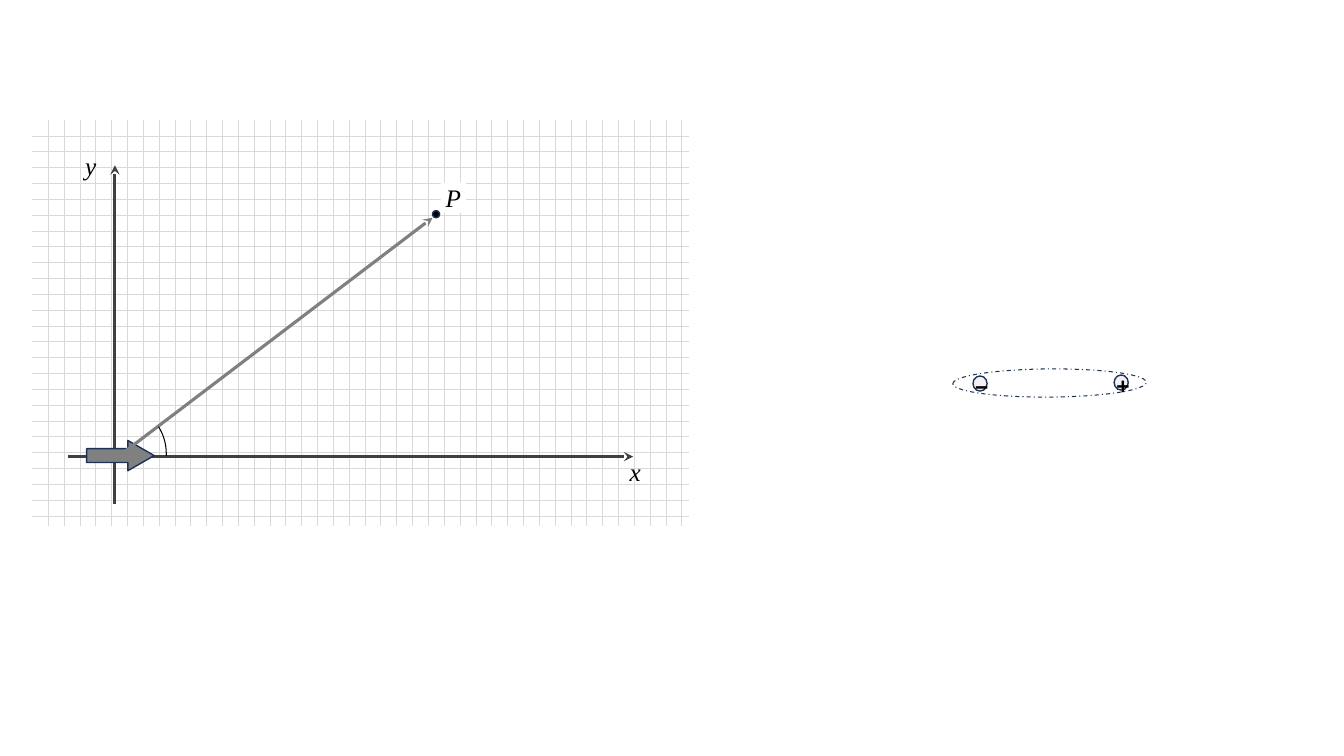
from dataclasses import dataclass

from lxml import etree
from pptx import Presentation
from pptx.dml.color import RGBColor
from pptx.enum.dml import MSO_LINE, MSO_PATTERN
from pptx.enum.shapes import MSO_CONNECTOR, MSO_SHAPE
from pptx.enum.text import MSO_ANCHOR, MSO_AUTO_SIZE, PP_ALIGN
from pptx.oxml.ns import qn
from pptx.util import Emu, Pt

PX = 9144
RECT, OVAL = MSO_SHAPE.RECTANGLE, MSO_SHAPE.OVAL
ARROW, ARC = MSO_SHAPE.RIGHT_ARROW, MSO_SHAPE.ARC
STRAIGHT = MSO_CONNECTOR.STRAIGHT
DOT_GRID, DASH_DOT = MSO_PATTERN.DOTTED_GRID, MSO_LINE.DASH_DOT
CENTER = PP_ALIGN.CENTER
TOP, MIDDLE = MSO_ANCHOR.TOP, MSO_ANCHOR.MIDDLE
GROW = MSO_AUTO_SIZE.SHAPE_TO_FIT_TEXT


@dataclass(frozen=True)
class Theme:
    black: str = "000000"
    white: str = "FFFFFF"
    grid: str = "D9D9D9"
    axis: str = "404040"
    vector: str = "808080"
    outline: str = "1E3256"
    charge: str = "F2F2F2"
    label_font: str = "Times New Roman"
    sign_font: str = "Arial"
    label_size: int = 18
    sign_size: int = 28
    thick: float = 2.25
    medium: float = 1
    thin: float = 0.75


def px(*values):
    return [Emu(v * PX) for v in values]


def rgb(color):
    return RGBColor.from_string(color)


class Diagram:
    def __init__(self, slide, theme):
        self.s = slide
        self.t = theme

    def shape(self, kind, box, fill=None, line=None, width=1, adj=(), tilt=0, parent=None):
        sp = (parent or self.s).shapes.add_shape(kind, *px(*box))
        sp.shadow.inherit = False
        sp.rotation = tilt
        for i, value in enumerate(adj):
            sp.adjustments[i] = value
        if fill:
            sp.fill.solid()
            sp.fill.fore_color.rgb = rgb(fill)
        else:
            sp.fill.background()
        if line:
            sp.line.color.rgb = rgb(line)
            sp.line.width = Pt(width)
        else:
            sp.line.fill.background()
        return sp

    def grid(self, box):
        fill = self.shape(RECT, box).fill
        fill.patterned()
        fill.pattern = DOT_GRID
        fill.fore_color.rgb = rgb(self.t.grid)
        fill.back_color.rgb = rgb(self.t.white)

    def arrow(self, start, end, color):
        cn = self.s.shapes.add_connector(STRAIGHT, *px(*start, *end))
        cn.line.color.rgb = rgb(color)
        cn.line.width = Pt(self.t.thick)
        sp_pr = cn._element.spPr
        etree.SubElement(sp_pr.find(qn("a:ln")), qn("a:tailEnd"), type="stealth")
        etree.SubElement(sp_pr, qn("a:effectLst"))

    def text(self, sp, text, font, size, top=0):
        tf = sp.text_frame
        tf.margin_left = tf.margin_right = tf.margin_bottom = 0
        tf.margin_top = Emu(top * PX)
        tf.word_wrap = True
        tf.text = text
        p = tf.paragraphs[0]
        p.alignment = CENTER
        r = p.runs[0]
        r.font.name = font
        r.font.size = Pt(size)
        r.font.color.rgb = rgb(self.t.black)
        return tf, r

    def label(self, text, box, fill=None):
        if fill:
            sp = self.shape(RECT, box, fill)
        else:
            sp = self.s.shapes.add_textbox(*px(*box))
        tf, r = self.text(sp, text, self.t.label_font, self.t.label_size)
        tf.vertical_anchor = TOP
        tf.auto_size = GROW
        r.font.italic = True

    def dipole(self, box, charges, tilt):
        t = self.t
        group = self.s.shapes.add_group_shape()
        shell = self.shape(OVAL, box, t.white, t.outline, t.thin, tilt=tilt, parent=group)
        shell.line.dash_style = DASH_DOT
        for sign, x, y in charges:
            sp = self.shape(OVAL, (x, y, 14, 15), t.charge, t.outline, t.medium, tilt=tilt, parent=group)
            tf, r = self.text(sp, sign, t.sign_font, t.sign_size, top=16)
            tf.vertical_anchor = MIDDLE
            r.font.bold = True
            r._r.get_or_add_rPr().set("baseline", "30000")


def main():
    prs = Presentation()
    prs.slide_width, prs.slide_height = px(1333, 750)
    t = Theme()
    d = Diagram(prs.slides.add_slide(prs.slide_layouts[6]), t)

    d.grid((32, 119, 651, 403))
    d.label("x", (622, 453, 16, 30))
    d.arrow((114, 500), (114, 164), t.axis)
    d.arrow((67, 453), (628, 453), t.axis)
    d.label("y", (82, 149, 16, 30))
    d.shape(ARROW, (86, 437, 67, 30), t.vector, t.outline, t.medium, adj=(0.459, 0.869))
    d.dipole((945, 366, 192, 28), [("−", 965, 373), ("+", 1105, 372)], 359.6)
    d.arrow((116, 454), (429, 216), t.vector)
    d.shape(ARC, (65, 400, 100, 100), line=t.black, width=t.thin, adj=(196.843, 1.494))
    d.shape(OVAL, (429, 209, 7, 7), t.black, t.outline, t.medium)
    d.label("P", (437, 181, 25, 30), t.white)

    prs.save("out.pptx")


if __name__ == "__main__":
    main()
